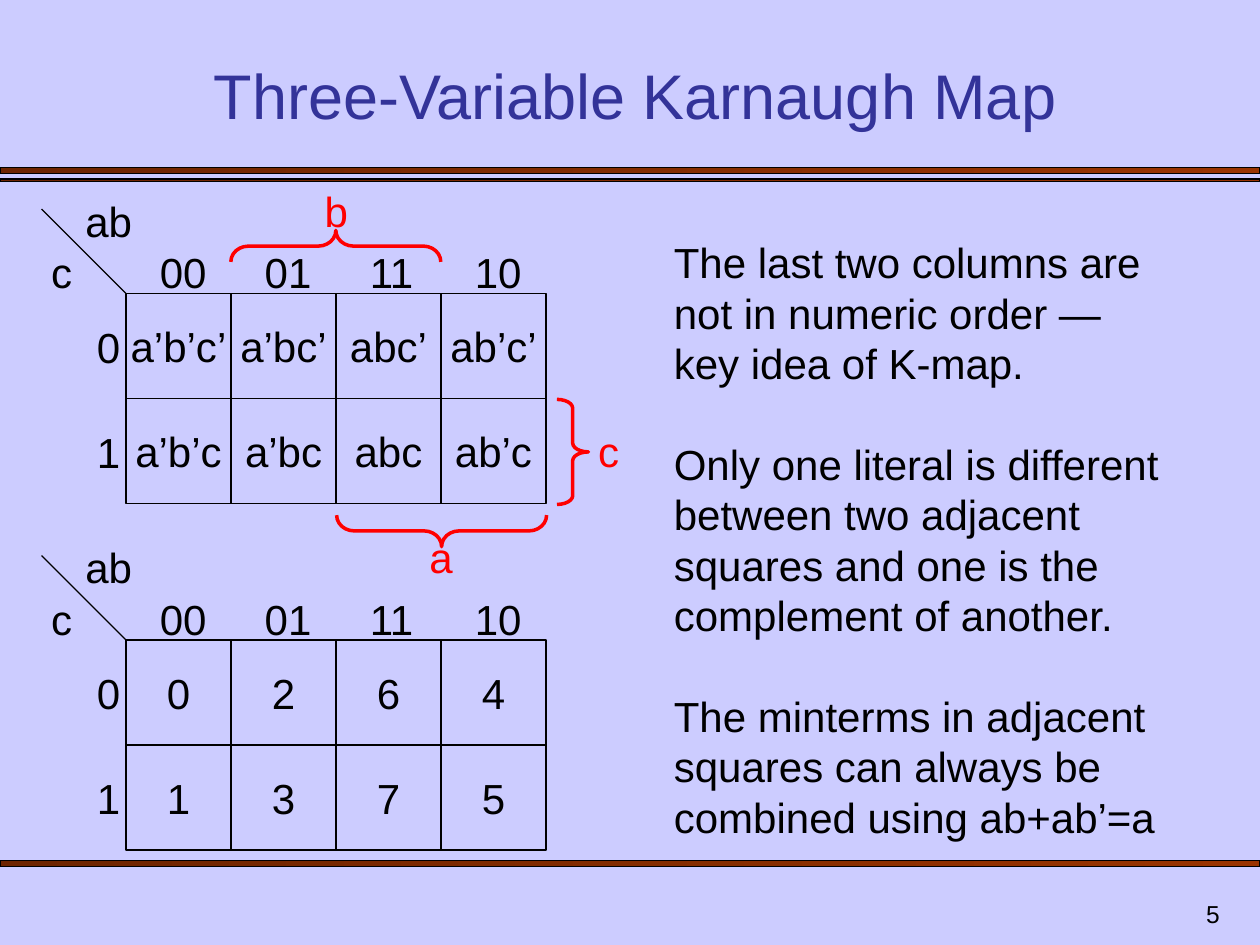
from lxml import etree
from pptx import Presentation
from pptx.dml.color import RGBColor
from pptx.enum import shapes, text
from pptx.oxml import ns
from pptx.util import Inches, Pt

LAVENDER = RGBColor(0xCC, 0xCC, 0xFF)
INDIGO = RGBColor(0x33, 0x33, 0x99)
BLACK = RGBColor(0, 0, 0)
RED = RGBColor(0xFF, 0, 0)
DARK_BROWN = RGBColor(0x6D, 0x24, 0)
BROWN = RGBColor(0x99, 0x33, 0)
FONT = "Arial"
LINE_PITCH = Pt(28.8)
CELL = 5 / 6
GRID_LEFT = 1
LEFT, CENTER, RIGHT = text.PP_ALIGN.LEFT, text.PP_ALIGN.CENTER, text.PP_ALIGN.RIGHT


def write(sp, words, align=LEFT, color=BLACK):
    """Fill a shape with 24 pt text, one paragraph per line of words."""
    tf = sp.text_frame
    tf.word_wrap = True
    tf.text = words
    for i, p in enumerate(tf.paragraphs):
        p.alignment = align
        p.line_spacing = LINE_PITCH
        p.space_before = LINE_PITCH if i else Pt(0)
        p.font.name, p.font.size = FONT, Pt(24)
        p.font.color.rgb = color


def add_label(parent, words, x, y, w, align=LEFT, color=BLACK):
    sp = parent.add_textbox(Inches(x), Inches(y), Inches(w), Inches(0.5))
    write(sp, words, align, color)


prs = Presentation()
prs.slide_width, prs.slide_height = Inches(10), Inches(7.5)
slide = prs.slides.add_slide(prs.slide_layouts[5])
slide.background.fill.solid()
slide.background.fill.fore_color.rgb = LAVENDER

# Brown rules under the title and above the footer
for y, h in ((1.33, 0.05), (1.42, 0.02), (6.83, 0.05)):
    rule = slide.shapes.add_shape(shapes.MSO_SHAPE.RECTANGLE, 0, Inches(y), Inches(10), Inches(h))
    rule.shadow.inherit = False
    rule.fill.gradient()
    rule.fill.gradient_angle = 0
    for stop, color in zip(rule.fill.gradient_stops, (DARK_BROWN, BROWN)):
        stop.color.rgb = color
    rule.line.color.rgb = BLACK
    rule.line.width = Pt(0.75)

title = slide.shapes.title
title.left, title.top = Inches(0.58), Inches(0.42)
title.width, title.height = Inches(8.92), Inches(0.68)
title.text = "Three-Variable Karnaugh Map"
number = slide.shapes.add_textbox(Inches(7.7), Inches(7), Inches(2.08), Inches(0.42))
number.text_frame.text = "5"
for sp, size, color, align in ((title, 36, INDIGO, CENTER), (number, 14, BLACK, RIGHT)):
    tf = sp.text_frame
    tf.word_wrap = True
    tf.auto_size = text.MSO_AUTO_SIZE.NONE
    tf.vertical_anchor = text.MSO_ANCHOR.BOTTOM
    p = tf.paragraphs[0]
    p.alignment = align
    p.font.name, p.font.size = FONT, Pt(size)
    p.font.color.rgb = color

# Karnaugh maps: minterms above, their numbers below
maps = (
    (2.33, (("a’b’c’", "a’bc’", "abc’", "ab’c’"), ("a’b’c", "a’bc", "abc", "ab’c"))),
    (5.08, (("0", "2", "6", "4"), ("1", "3", "7", "5"))),
)
for top, rows in maps:
    kmap = slide.shapes.add_group_shape().shapes
    diagonal = kmap.add_connector(shapes.MSO_CONNECTOR.STRAIGHT, Inches(0.33), Inches(top - 0.67),
                                  Inches(GRID_LEFT), Inches(top))
    diagonal.line.color.rgb = BLACK
    diagonal.line.width = Pt(0.75)
    etree.SubElement(diagonal._element.spPr, ns.qn("a:effectLst"))

    add_label(kmap, "ab", 0.58, top - 0.83, 0.67)
    add_label(kmap, "c", 0.17, top - 0.42, 0.5, RIGHT)
    for col, bits in enumerate(("00", "01", "11", "10")):
        add_label(kmap, bits, GRID_LEFT + 0.17 + col * CELL, top - 0.42, 0.6)

    for row, terms in enumerate(rows):
        y = top + row * CELL
        add_label(kmap, str(row), 0.67, y + 0.17, 0.43)
        for col, term in enumerate(terms):
            cell = kmap.add_shape(shapes.MSO_SHAPE.RECTANGLE, Inches(GRID_LEFT + col * CELL),
                                  Inches(y), Inches(CELL), Inches(CELL))
            cell.shadow.inherit = False
            cell.fill.background()
            cell.line.color.rgb = BLACK
            cell.line.width = Pt(0.75)
            cell.text_frame.margin_left = cell.text_frame.margin_right = 0
            write(cell, term, CENTER)

notes = slide.shapes.add_textbox(Inches(5.25), Inches(1.83), Inches(4.5), Inches(4.89))
write(notes, "The last two columns are\vnot in numeric order —\vkey idea of K-map.\n"
             "Only one literal is different between two adjacent squares "
             "and one is the complement of another.\n"
             "The minterms in adjacent squares can always be combined using ab+ab’=a")

# Braces marking where each variable is 1
braces = (
    ("b", 2.54, 1.12, 2 * CELL, 90, 0.556, 2.42, 1.42),
    ("a", 3.38, 3.38, 2 * CELL, 270, 0.556, 3.25, 4.17),
    ("c", 4.42, 3.17, CELL, 180, 0.278, 4.58, 3.33),
)
for name, x, y, length, angle, curl, label_x, label_y in braces:
    brace = slide.shapes.add_shape(shapes.MSO_SHAPE.LEFT_BRACE, Inches(x), Inches(y),
                                   Inches(0.25), Inches(length))
    brace.rotation = angle
    brace.adjustments[0] = curl
    brace.shadow.inherit = False
    brace.fill.background()
    brace.line.color.rgb = RED
    brace.line.width = Pt(2)
    add_label(slide.shapes, name, label_x, label_y, 0.5, CENTER, RED)

prs.save("out.pptx")
